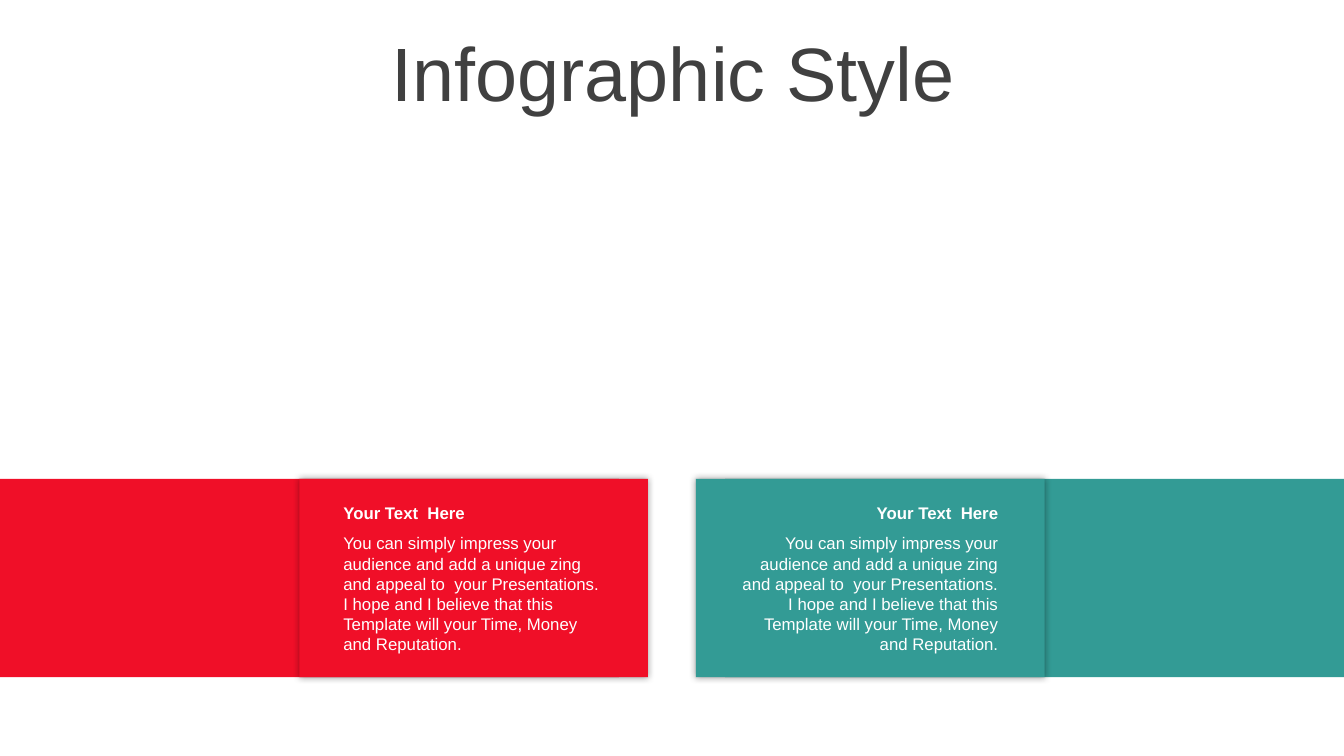
from dataclasses import dataclass

from lxml.etree import SubElement
from pptx import Presentation
from pptx.dml.color import RGBColor as Rgb
from pptx.enum.shapes import MSO_SHAPE as Kind
from pptx.enum.text import MSO_ANCHOR as Anchor, MSO_AUTO_SIZE as Fit, PP_ALIGN as Align
from pptx.oxml.ns import qn
from pptx.util import Pt

WIDE, HIGH = 960, 540
TOP, TALL = 342, 141.8
BAND, CARD = 442, 249.1
EDGE = 213.8
INSET, TEXT = 24.4, 198.7
HEAD = "Your Text  Here"
BODY = ("You can simply impress your audience and add a unique zing and appeal to  "
        "your Presentations. I hope and I believe that this Template will your "
        "Time, Money and Reputation.")


@dataclass
class Panel:
    color: str
    band: float
    card: float
    align: Align


PANELS = [
    Panel("339B95", WIDE - BAND, WIDE - EDGE - CARD, Align.RIGHT),
    Panel("F00F28", 0, EDGE, Align.LEFT),
]


def tint(color: str) -> Rgb:
    return Rgb.from_string(color)


def style(para, size: float, color: str, align: Align, bold: bool = False) -> None:
    para.alignment = align
    font = para.font
    font.name, font.size, font.bold = "Arial", Pt(size), bold
    font.color.rgb = tint(color)


def block(slide, left: float, width: float, color: str):
    box = slide.shapes.add_shape(Kind.RECTANGLE, Pt(left), Pt(TOP), Pt(width), Pt(TALL))
    box.shadow.inherit = False
    box.fill.solid()
    box.fill.fore_color.rgb = tint(color)
    box.line.fill.background()
    return box


def glow(box) -> None:
    effects = box._element.spPr.find(qn("a:effectLst"))
    shade = SubElement(effects, qn("a:outerShdw"), blurRad=str(Pt(5)), dist="0",
                       dir="0", algn="ctr", rotWithShape="0")
    black = SubElement(shade, qn("a:srgbClr"), val="000000")
    SubElement(black, qn("a:alpha"), val="40000")


def label(group, panel: Panel, top: float, tall: float, text: str, bold: bool) -> None:
    box = group.shapes.add_textbox(Pt(panel.card + INSET), Pt(top), Pt(TEXT), Pt(tall))
    frame = box.text_frame
    frame.word_wrap = True
    frame.auto_size = Fit.SHAPE_TO_FIT_TEXT
    frame.text = text
    style(frame.paragraphs[0], 12, "FFFFFF", panel.align, bold)


def title(slide) -> None:
    head = slide.shapes.title
    head.left, head.top, head.width, head.height = Pt(25.2), Pt(26.6), Pt(911.5), Pt(56.9)
    frame = head.text_frame
    frame.text = "Infographic Style"
    frame.word_wrap = True
    frame.auto_size = Fit.NONE
    frame.vertical_anchor = Anchor.MIDDLE
    para = frame.paragraphs[0]
    para.line_spacing = 0.9
    para.space_before = Pt(0)
    style(para, 54, "404040", Align.CENTER)


def main() -> None:
    deck = Presentation()
    deck.slide_width, deck.slide_height = Pt(WIDE), Pt(HIGH)
    slide = deck.slides.add_slide(deck.slide_layouts[5])
    title(slide)
    for panel in PANELS:
        block(slide, panel.band, BAND, panel.color)
    for panel in PANELS:
        glow(block(slide, panel.card, CARD, panel.color))
    for panel in reversed(PANELS):
        group = slide.shapes.add_group_shape()
        label(group, panel, 377.3, 94.3, BODY, False)
        label(group, panel, 355.5, 21.8, HEAD, True)
    deck.save("out.pptx")


if __name__ == "__main__":
    main()
